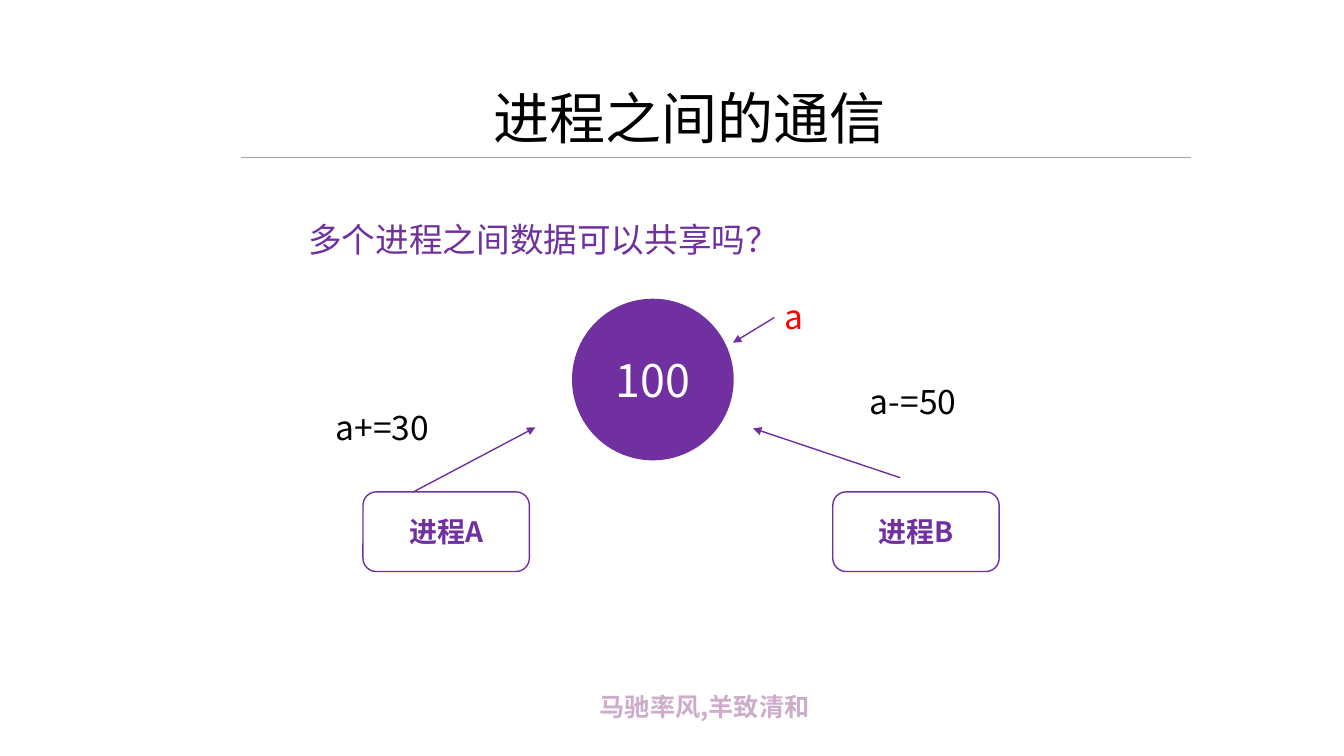
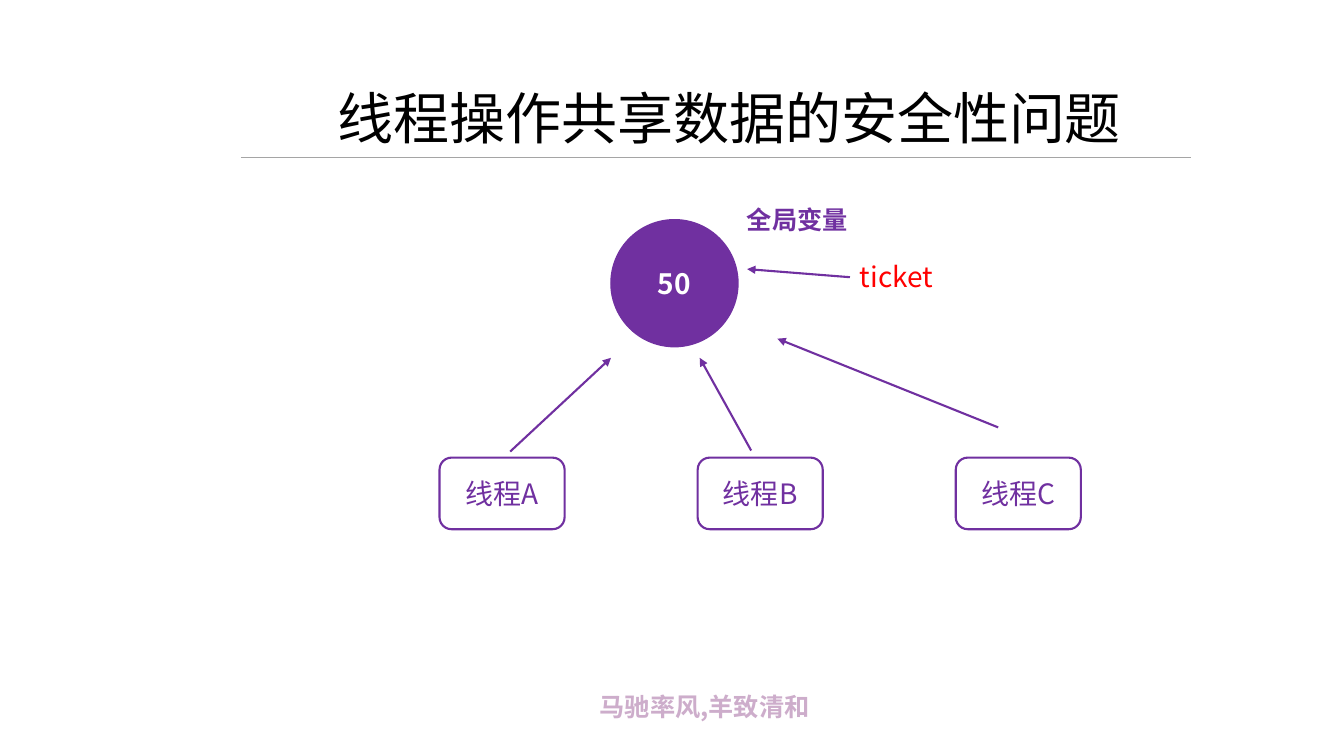
from lxml import etree
from pptx import Presentation
from pptx.dml.color import RGBColor
from pptx.enum.shapes import MSO_CONNECTOR, MSO_SHAPE
from pptx.enum.text import MSO_ANCHOR, MSO_AUTO_SIZE, PP_ALIGN
from pptx.oxml.ns import qn
from pptx.util import Pt

PX = 9144
FONT = "Noto Sans CJK SC"
PURPLE = RGBColor(0x70, 0x30, 0xA0)
LILAC = RGBColor(0xCD, 0xAD, 0xCB)
GRAY = RGBColor(0xA5, 0xA5, 0xA5)
RED = RGBColor(0xFF, 0x00, 0x00)
BLACK = RGBColor(0x00, 0x00, 0x00)
WHITE = RGBColor(0xFF, 0xFF, 0xFF)
OVAL, ROUNDED = MSO_SHAPE.OVAL, MSO_SHAPE.ROUNDED_RECTANGLE
STRAIGHT = MSO_CONNECTOR.STRAIGHT
MIDDLE, CENTER = MSO_ANCHOR.MIDDLE, PP_ALIGN.CENTER
FIT_SHAPE = MSO_AUTO_SIZE.SHAPE_TO_FIT_TEXT


def emu(*lengths):
    return [length * PX for length in lengths]


def add_run(p, text, size, color, bold=False):
    r = p.add_run()
    r.text = text
    r.font.size = Pt(size)
    r.font.bold = bold
    r.font.name = FONT
    r.font.color.rgb = color
    latin = r.font._element.find(qn("a:latin"))
    latin.addnext(latin.makeelement(qn("a:ea"), {"typeface": FONT}))


def add_label(s, box, text, size, color, bold=False, wrap=True):
    tf = s.shapes.add_textbox(*emu(*box)).text_frame
    tf.word_wrap = wrap
    tf.auto_size = FIT_SHAPE
    add_run(tf.paragraphs[0], text, size, color, bold)


def add_node(s, kind, box, text, size, color, bold=False, fill=None, width=1):
    sp = s.shapes.add_shape(kind, *emu(*box))
    sp.shadow.inherit = False
    if fill is None:
        sp.fill.background()
    else:
        sp.fill.solid()
        sp.fill.fore_color.rgb = fill
    sp.line.color.rgb = PURPLE
    sp.line.width = Pt(width)
    tf = sp.text_frame
    tf.word_wrap = True
    tf.vertical_anchor = MIDDLE
    p = tf.paragraphs[0]
    p.alignment = CENTER
    add_run(p, text, size, color, bold)


def add_line(s, ends, color, width, arrow=False):
    line = s.shapes.add_connector(STRAIGHT, *emu(*ends))
    line.line.color.rgb = color
    line.line.width = Pt(width)
    if arrow:
        ln = line.line._get_or_add_ln()
        etree.SubElement(ln, qn("a:tailEnd"), type="triangle")
    etree.SubElement(line._element.spPr, qn("a:effectLst"))


def add_arrows(s, x, y, arrows, width):
    for x1, y1, x2, y2 in arrows:
        add_line(s, (x + x1, y + y1, x + x2, y + y2), PURPLE, width, True)


def add_frame(prs, title, left, width):
    s = prs.slides.add_slide(prs.slide_layouts[6])
    add_label(s, (585, 681, 284, 40), "马驰率风,羊致清和", 18, LILAC, True)
    add_line(s, (239, 156, 1181, 156), GRAY, 0.5)
    add_label(s, (left, 78, width, 77), title, 40, BLACK, wrap=False)
    return s


def add_process_diagram(s, x, y):
    add_label(s, (x, y, 491, 50), "多个进程之间数据可以共享吗？", 24, PURPLE, wrap=False)
    add_node(s, OVAL, (x + 272, y + 85, 159, 159), "100", 32, WHITE, fill=PURPLE)
    for i, name in enumerate("AB"):
        box = (x + 64 + i * 466, y + 276, 165, 79)
        add_node(s, ROUNDED, box, "进程" + name, 20, PURPLE, True)
    labels = [
        (472, 77, 39, "a", RED),
        (27, 187, 157, "a+=30", BLACK),
        (557, 161, 157, "a-=50", BLACK),
    ]
    for dx, dy, width, text, color in labels:
        add_label(s, (x + dx, y + dy, width, 50), text, 24, color)
    arrows = [(472, 103, 431, 128), (114, 276, 235, 212), (597, 262, 451, 213)]
    add_arrows(s, x, y, arrows, 1)


def add_thread_diagram(s, x, y):
    add_node(s, OVAL, (x + 170, y + 20, 126, 126), "50", 20, WHITE, True, PURPLE)
    add_label(s, (x + 407, y + 55, 93, 44), "ticket", 20, RED, wrap=False)
    add_label(s, (x + 295, y, 147, 40), "全局变量", 18, PURPLE, True)
    for i, name in enumerate("ABC"):
        box = (x + i * 256, y + 256, 124, 71)
        add_node(s, ROUNDED, box, "线程" + name, 20, PURPLE, width=1.5)
    arrows = [
        (407, 77, 305, 69),
        (70, 250, 170, 157),
        (309, 249, 258, 157),
        (554, 226, 335, 138),
    ]
    add_arrows(s, x, y, arrows, 1.5)


def main():
    prs = Presentation()
    prs.slide_width, prs.slide_height = emu(1333, 750)
    s = add_frame(prs, "进程之间的通信", 480, 413)
    add_process_diagram(s, 296, 212)
    s = add_frame(prs, "线程操作共享数据的安全性问题", 325, 806)
    add_thread_diagram(s, 436, 198)
    prs.save("out.pptx")


if __name__ == "__main__":
    main()
